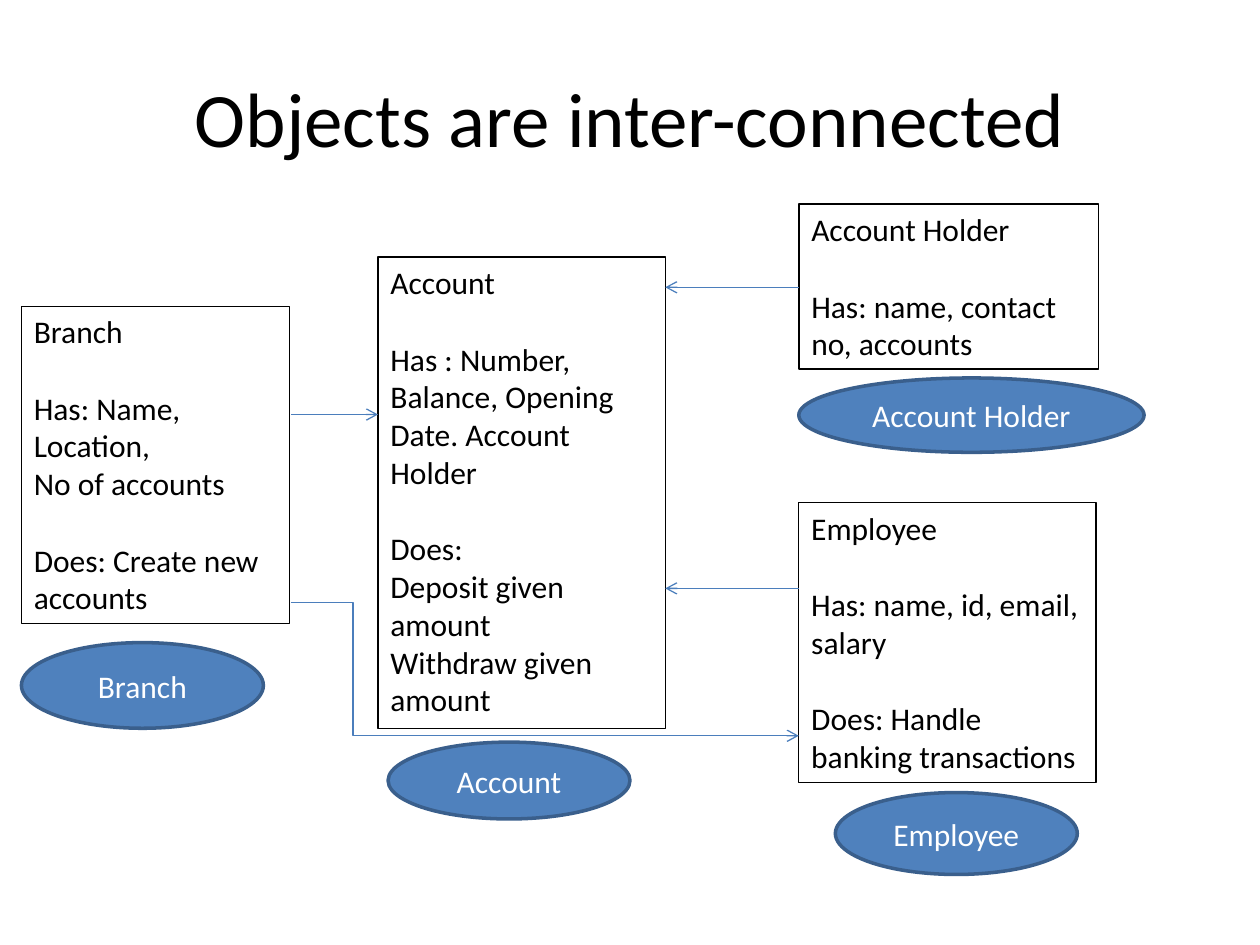
from lxml.etree import SubElement
from pptx import Presentation
from pptx.dml.color import RGBColor
from pptx.enum.shapes import MSO_CONNECTOR as Connector, MSO_SHAPE as Shape
from pptx.enum.text import MSO_ANCHOR as Anchor, MSO_AUTO_SIZE as AutoSize, PP_ALIGN as Align
from pptx.oxml.ns import qn
from pptx.util import Inches, Pt

COLORS = {
    "text": "000000",
    "label": "FFFFFF",
    "ellipse": "4F81BD",
    "ellipse_line": "3A5F8C",
    "arrow": "4B7EBC",
}
FONT = "Calibri"
BODY_SIZE = 18
SECTION_GAP = Pt(22)  # one empty line of body text


def color(name):
    return RGBColor.from_string(COLORS[name])


def add_run(paragraph, text, size, color_name):
    run = paragraph.add_run()
    run.text = text
    run.font.name = FONT
    run.font.size = Pt(size)
    run.font.color.rgb = color(color_name)


presentation = Presentation()
presentation.slide_width = Inches(10)
presentation.slide_height = Inches(7.5)
slide = presentation.slides.add_slide(presentation.slide_layouts[5])

title = slide.shapes.title
title.left, title.top, title.width, title.height = map(Inches, (0.5, 0.3, 9, 1.25))
title.text_frame.vertical_anchor = Anchor.MIDDLE
title_paragraph = title.text_frame.paragraphs[0]
title_paragraph.alignment = Align.CENTER
add_run(title_paragraph, "Objects are inter-connected", 44, "text")

# Object names: left, top, width, height
ellipses = [
    ("Account", (3.08, 5.89, 1.92, 0.61)),
    ("Account Holder", (6.34, 3, 2.74, 0.59)),
    ("Employee", (6.63, 6.29, 1.92, 0.65)),
    ("Branch", (0.17, 5.1, 1.92, 0.68)),
]
for name, bounds in ellipses:
    ellipse = slide.shapes.add_shape(Shape.OVAL, *map(Inches, bounds))
    ellipse.shadow.inherit = False
    ellipse.fill.solid()
    ellipse.fill.fore_color.rgb = color("ellipse")
    ellipse.line.color.rgb = color("ellipse_line")
    ellipse.line.width = Pt(2)
    ellipse.text_frame.vertical_anchor = Anchor.MIDDLE
    paragraph = ellipse.text_frame.paragraphs[0]
    paragraph.alignment = Align.CENTER
    add_run(paragraph, name, BODY_SIZE, "label")

# Class boxes: bounds, then sections of paragraphs
class_boxes = [
    ((3, 2.04, 2.28, 3.74), [
        ["Account"],
        ["Has : Number, Balance, Opening Date. Account Holder"],
        ["Does:", "Deposit given amount", "Withdraw given amount"],
    ]),
    ((0.17, 2.43, 2.13, 2.52), [
        ["Branch"],
        ["Has: Name, Location,", "No of accounts"],
        ["Does: Create new accounts"],
    ]),
    ((6.34, 3.99, 2.36, 2.22), [
        ["Employee"],
        ["Has: name, id, email,", "salary"],
        ["Does: Handle banking transactions"],
    ]),
    ((6.34, 1.62, 2.38, 1.31), [
        ["Account Holder"],
        ["Has: name, contact no, accounts"],
    ]),
]
for bounds, sections in class_boxes:
    box = slide.shapes.add_textbox(*map(Inches, bounds))
    box.line.color.rgb = color("text")
    box.line.width = Pt(0.75)
    frame = box.text_frame
    frame.word_wrap = True
    frame.auto_size = AutoSize.SHAPE_TO_FIT_TEXT
    for section_index, section in enumerate(sections):
        for line_index, text in enumerate(section):
            is_first = section_index == line_index == 0
            paragraph = frame.paragraphs[0] if is_first else frame.add_paragraph()
            if section_index > 0 and line_index == 0:
                paragraph.space_before = SECTION_GAP
            add_run(paragraph, text, BODY_SIZE, "text")

# Arrows: begin x, begin y, end x, end y
arrows = [
    (Connector.STRAIGHT, (2.31, 3.29, 3, 3.29)),
    (Connector.STRAIGHT, (6.34, 2.28, 5.28, 2.28)),
    (Connector.STRAIGHT, (6.34, 4.67, 5.28, 4.67)),
    (Connector.ELBOW, (2.31, 4.78, 6.34, 5.84)),
]
for kind, ends in arrows:
    arrow = slide.shapes.add_connector(kind, *map(Inches, ends))
    arrow.line.color.rgb = color("arrow")
    arrow.line.width = Pt(0.75)
    properties = arrow.element.spPr
    SubElement(properties.find(qn("a:ln")), qn("a:tailEnd"), type="arrow")
    SubElement(properties, qn("a:effectLst"))
    if kind == Connector.ELBOW:
        adjustments = properties.find(qn("a:prstGeom")).find(qn("a:avLst"))
        SubElement(adjustments, qn("a:gd"), name="adj1", fmla="val 12200")

presentation.save("out.pptx")
